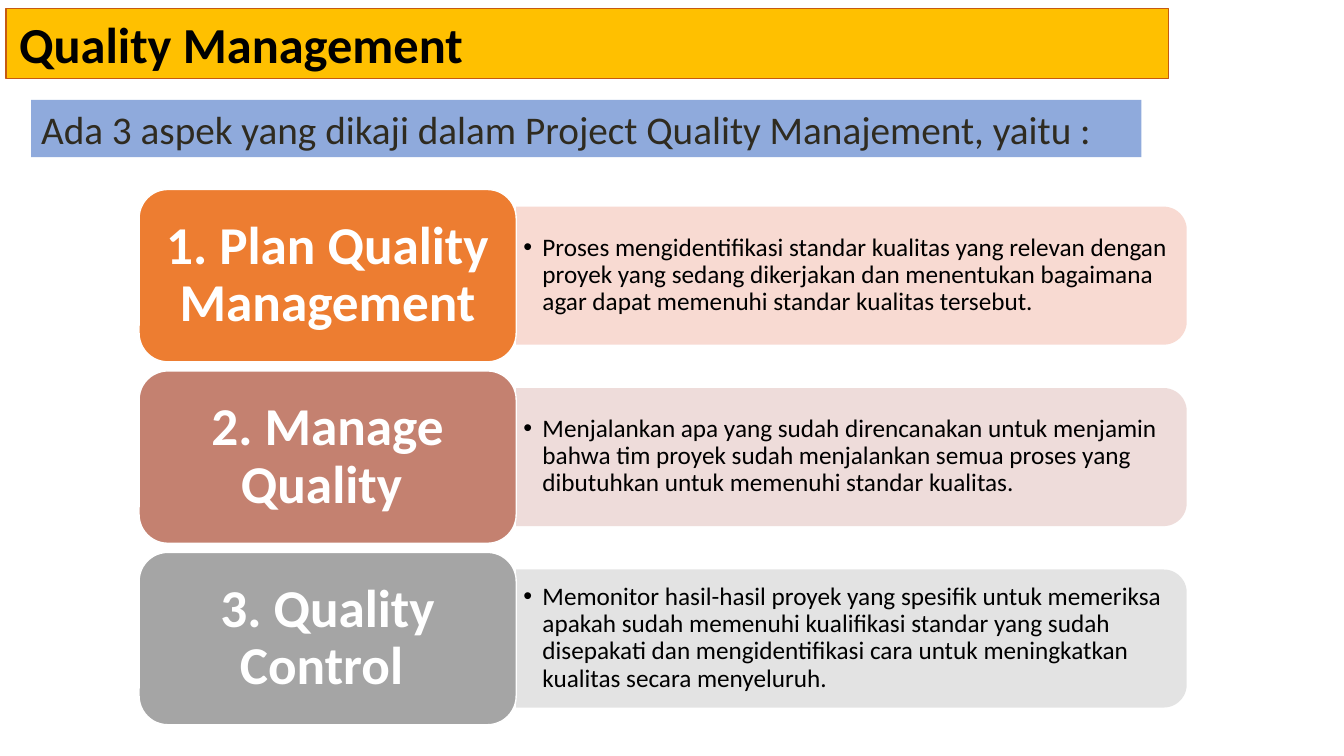
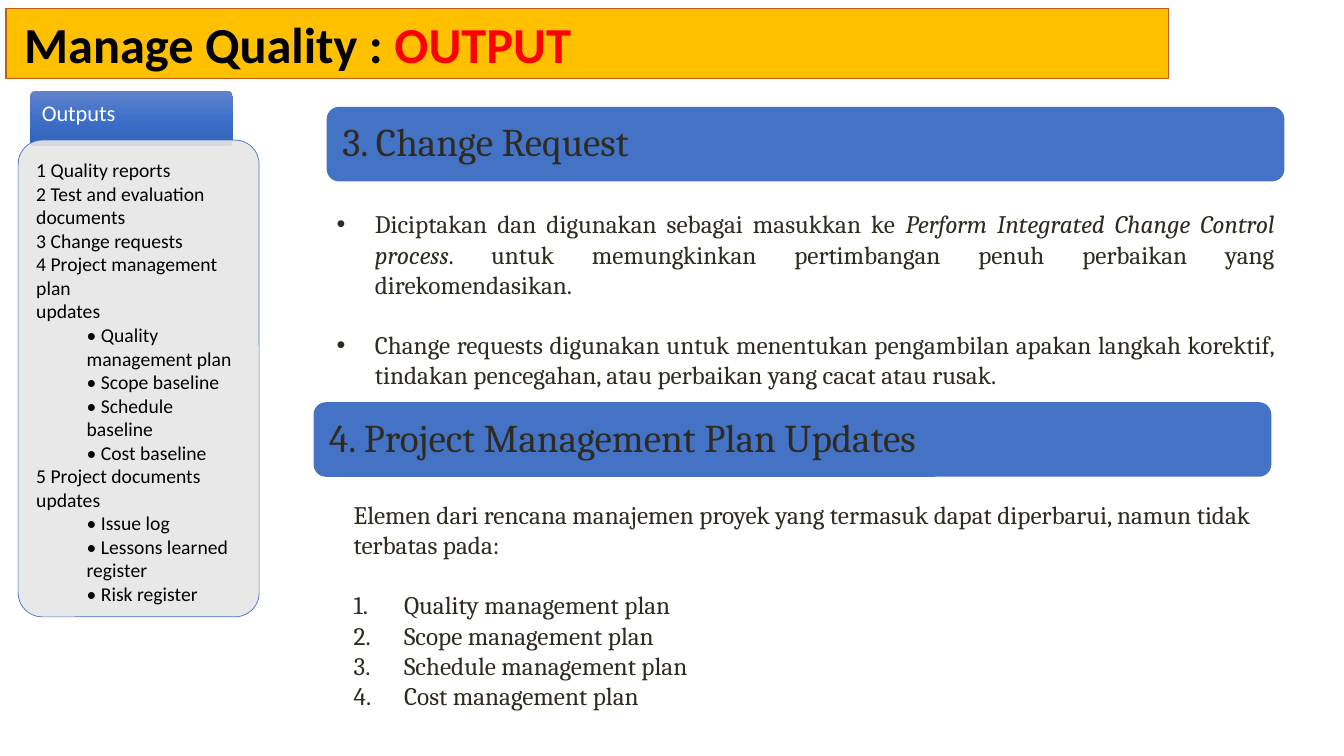
from copy import deepcopy

from lxml.etree import SubElement
from pptx import Presentation
from pptx.dml.color import RGBColor
from pptx.enum.shapes import MSO_SHAPE
from pptx.enum.text import MSO_ANCHOR, PP_ALIGN
from pptx.oxml.ns import qn
from pptx.util import Inches, Pt

BLACK = RGBColor(0x00, 0x00, 0x00)
WHITE = RGBColor(0xFF, 0xFF, 0xFF)
RED = RGBColor(0xFF, 0x00, 0x00)
INK = RGBColor(0x2F, 0x2B, 0x20)
GOLD = RGBColor(0xFF, 0xC0, 0x00)
RUST = RGBColor(0xC5, 0x5A, 0x11)
BLUE = RGBColor(0x44, 0x72, 0xC4)
PALE_BLUE = RGBColor(0x8F, 0xAA, 0xDC)
PALE_GRAY = RGBColor(0xE7, 0xE6, 0xE6)
TAB_GRADIENT = (
    RGBColor(0x61, 0x83, 0xCB),
    RGBColor(0x3E, 0x70, 0xCA),
    RGBColor(0x30, 0x62, 0xBB),
)
SANS = "Calibri"
SERIF = "Cambria"
LINE_GAP = 21.6

ASPECTS = (
    ("1. Plan Quality Management", RGBColor(0xED, 0x7D, 0x31), RGBColor(0xF8, 0xD7, 0xCE),
     "Proses mengidentifikasi standar kualitas yang relevan dengan proyek yang sedang "
     "dikerjakan dan menentukan bagaimana agar dapat memenuhi standar kualitas tersebut."),
    ("2. Manage Quality ", RGBColor(0xC4, 0x81, 0x70), RGBColor(0xED, 0xD9, 0xD7),
     "Menjalankan apa yang sudah direncanakan untuk menjamin bahwa tim proyek sudah "
     "menjalankan semua proses yang dibutuhkan untuk memenuhi standar kualitas."),
    ("3. Quality Control ", RGBColor(0xA5, 0xA5, 0xA5), RGBColor(0xE1, 0xE1, 0xE1),
     "Memonitor hasil-hasil proyek yang spesifik untuk memeriksa apakah sudah memenuhi "
     "kualifikasi standar yang sudah disepakati dan mengidentifikasi cara untuk "
     "meningkatkan kualitas secara menyeluruh."),
)
OUTPUTS = (
    "1 Quality reports",
    "2 Test and evaluation",
    "documents",
    "3 Change requests",
    "4 Project management plan",
    "updates",
    "• Quality management plan",
    "• Scope baseline",
    "• Schedule baseline",
    "• Cost baseline",
    "5 Project documents updates",
    "• Issue log",
    "• Lessons learned register",
    "• Risk register",
)
PLANS = ("Quality", "Scope", "Schedule", "Cost")


def write(frame, text, size=18, font=SANS, color=BLACK, bold=False, align=PP_ALIGN.LEFT,
          margin=0, indent=0, bullet=None, before=0, spacing=1.0):
    """Add one paragraph; text is a string or a list of (string, font changes) pairs."""
    first = frame.paragraphs[0]
    paragraph = frame.add_paragraph() if first.runs else first
    properties = paragraph._p.get_or_add_pPr()
    properties.set("marL", str(Inches(margin)))
    properties.set("indent", str(Inches(indent)))
    if bullet == "number":
        SubElement(properties, qn("a:buAutoNum"), type="arabicPeriod")
    elif bullet:
        SubElement(properties, qn("a:buFont"), typeface="Arial")
        SubElement(properties, qn("a:buChar"), char=bullet)
    paragraph.alignment = align
    paragraph.line_spacing = spacing
    if before:
        paragraph.space_before = Pt(before)
    for content, changes in [(text, {})] if isinstance(text, str) else text:
        run = paragraph.add_run()
        run.text = content
        run.font.size = Pt(size)
        run.font.name = font
        run.font.bold = bold
        run.font.italic = changes.get("italic", False)
        run.font.color.rgb = changes.get("color", color)


class Deck:
    """Hold the shared style and the slide being built."""

    def __init__(self):
        """Start a wide presentation."""
        self.presentation = Presentation()
        self.presentation.slide_width = Inches(13.33)
        self.presentation.slide_height = Inches(7.5)
        self.slide = None

    def new_slide(self, title, inset):
        """Add a blank slide with the gold title band."""
        self.slide = self.presentation.slides.add_slide(self.presentation.slide_layouts[6])
        band = self.box(0.06, 0.08, 11.53, 0.7, GOLD, line=RUST, insets=(inset, 0, 0.09, 0))
        write(band.text_frame, title, size=36, bold=True)

    def frame(self, shape, insets, anchor):
        """Set wrapping, margins and anchor of a shape's text."""
        frame = shape.text_frame
        frame.word_wrap = True
        frame.vertical_anchor = anchor
        (frame.margin_left, frame.margin_top,
         frame.margin_right, frame.margin_bottom) = map(Inches, insets)
        return frame

    def box(self, left, top, width, height, fill, kind=MSO_SHAPE.RECTANGLE, line=None,
            line_width=0.75, alpha=None, radius=None, insets=(0.1, 0.05, 0.1, 0.05),
            anchor=MSO_ANCHOR.MIDDLE):
        """Add a filled preset shape; a tuple of colours gives a downward gradient."""
        shape = self.slide.shapes.add_shape(
            kind, Inches(left), Inches(top), Inches(width), Inches(height))
        shape.shadow.inherit = False
        if radius is not None:
            shape.adjustments[0] = radius
        if isinstance(fill, RGBColor):
            shape.fill.solid()
            shape.fill.fore_color.rgb = fill
        else:
            self.gradient(shape, fill)
        if alpha:
            color = shape._element.spPr.find(".//" + qn("a:srgbClr"))
            SubElement(color, qn("a:alpha"), val=str(alpha * 1000))
        if line is None:
            shape.line.fill.background()
        else:
            shape.line.color.rgb = line
            shape.line.width = Pt(line_width)
        self.frame(shape, insets, anchor)
        return shape

    def gradient(self, shape, colors):
        """Fill a shape with evenly spaced colours from top to bottom."""
        shape.fill.gradient()
        shape.fill.gradient_angle = 270
        stop_list = shape._element.spPr.find(".//" + qn("a:gsLst"))
        while len(stop_list) < len(colors):
            stop_list.append(deepcopy(stop_list[-1]))
        for index, stop in enumerate(shape.fill.gradient_stops):
            stop.color.rgb = colors[index]
            stop.position = index / (len(colors) - 1)

    def text_area(self, left, top, width, height, insets=(0.1, 0.05, 0.1, 0.05),
                  anchor=MSO_ANCHOR.TOP):
        """Add a wrapping text box and return its frame."""
        shape = self.slide.shapes.add_textbox(
            Inches(left), Inches(top), Inches(width), Inches(height))
        return self.frame(shape, insets, anchor)

    def aspect(self, top, title, fill, tint, description):
        """Add a coloured card with its description panel on the right."""
        left, card_width, card_height = 1.38, 3.74, 1.71
        length, depth = 6.65, 1.37
        panel_left = left + card_width
        middle = top + card_height / 2
        panel = self.box(panel_left + (length - depth) / 2, middle - length / 2, depth, length,
                         tint, kind=MSO_SHAPE.ROUND_2_SAME_RECTANGLE, alpha=90)
        panel.rotation = 90
        frame = self.text_area(panel_left, middle - 0.62, 6.58, 1.23,
                               insets=(0.07, 0.04, 0.07, 0.04), anchor=MSO_ANCHOR.MIDDLE)
        write(frame, description, margin=0.19, indent=-0.19, bullet="•", spacing=0.9)
        card = self.box(left, top, card_width, card_height, fill,
                        kind=MSO_SHAPE.ROUNDED_RECTANGLE, line=WHITE, line_width=1,
                        insets=(0.16, 0.08, 0.16, 0.08))
        write(card.text_frame, title, size=38, color=WHITE, bold=True,
              align=PP_ALIGN.CENTER, spacing=0.9)

    def heading(self, left, top, text):
        """Add a blue rounded section heading."""
        bar = self.box(left, top, 9.5, 0.74, BLUE, kind=MSO_SHAPE.ROUNDED_RECTANGLE,
                       insets=(0.12, 0.08, 0.12, 0.08))
        write(bar.text_frame, text, size=28, font=SERIF, color=INK, spacing=0.9)

    def output_list(self, title, items):
        """Add the outputs tab and the translucent list below it."""
        tab = self.box(0.3, 0.9, 2.01, 0.55, TAB_GRADIENT, kind=MSO_SHAPE.ROUNDED_RECTANGLE,
                       radius=0.1, insets=(0.1, 0.1, 0.1, 0.1), anchor=MSO_ANCHOR.TOP)
        write(tab.text_frame, title, size=16, color=WHITE, spacing=0.9)
        panel = self.box(0.18, 1.39, 2.39, 4.73, PALE_GRAY, kind=MSO_SHAPE.ROUNDED_RECTANGLE,
                         line=BLUE, line_width=0.5, alpha=90, radius=0.1,
                         insets=(0.11, 0.11, 0.11, 0.11), anchor=MSO_ANCHOR.TOP)
        for item in items:
            write(panel.text_frame, item, size=14, margin=0.5 if item.startswith("•") else 0)


def build_aspects(deck):
    """Build the slide with the three aspects of quality."""
    deck.new_slide("Quality Management", 0.13)
    banner = deck.box(0.31, 0.99, 11.01, 0.57, PALE_BLUE)
    write(banner.text_frame, "Ada 3 aspek yang dikaji dalam Project Quality Manajement, yaitu :",
          size=28, color=INK)
    for index, aspect in enumerate(ASPECTS):
        deck.aspect(1.88 + 1.8 * index, *aspect)


def build_outputs(deck):
    """Build the slide with the outputs of managing quality."""
    deck.new_slide([("Manage Quality : ", {}), ("OUTPUT", {"color": RED})], 0.18)
    body = {"font": SERIF, "color": INK}
    point = dict(body, align=PP_ALIGN.JUSTIFY, margin=0.38, indent=-0.38, bullet="•")

    deck.heading(3.24, 1.06, "3. Change Request")
    requests = deck.text_area(3.24, 2.02, 9.5, 2.22)
    write(requests, [
        ("Diciptakan dan digunakan sebagai masukkan ke ", {}),
        ("Perform Integrated Change Control process", {"italic": True}),
        (". untuk memungkinkan pertimbangan penuh perbaikan yang direkomendasikan.", {}),
    ], **point)
    write(requests, "Change requests digunakan untuk menentukan pengambilan apakan langkah "
          "korektif, tindakan pencegahan, atau perbaikan yang cacat atau rusak.",
          before=LINE_GAP, **point)

    deck.heading(3.11, 3.99, "4. Project Management Plan Updates")
    updates = deck.text_area(3.41, 4.9, 9.34, 2.22)
    write(updates, "Elemen dari rencana manajemen proyek yang termasuk dapat diperbarui, "
          "namun tidak terbatas pada:", **body)
    for index, plan in enumerate(PLANS):
        write(updates, f"{plan} management plan", margin=0.5, indent=-0.5, bullet="number",
              before=0 if index else LINE_GAP, **body)

    deck.output_list("Outputs", OUTPUTS)


def main():
    """Build and save the presentation."""
    deck = Deck()
    build_aspects(deck)
    build_outputs(deck)
    deck.presentation.save("out.pptx")


if __name__ == "__main__":
    main()
